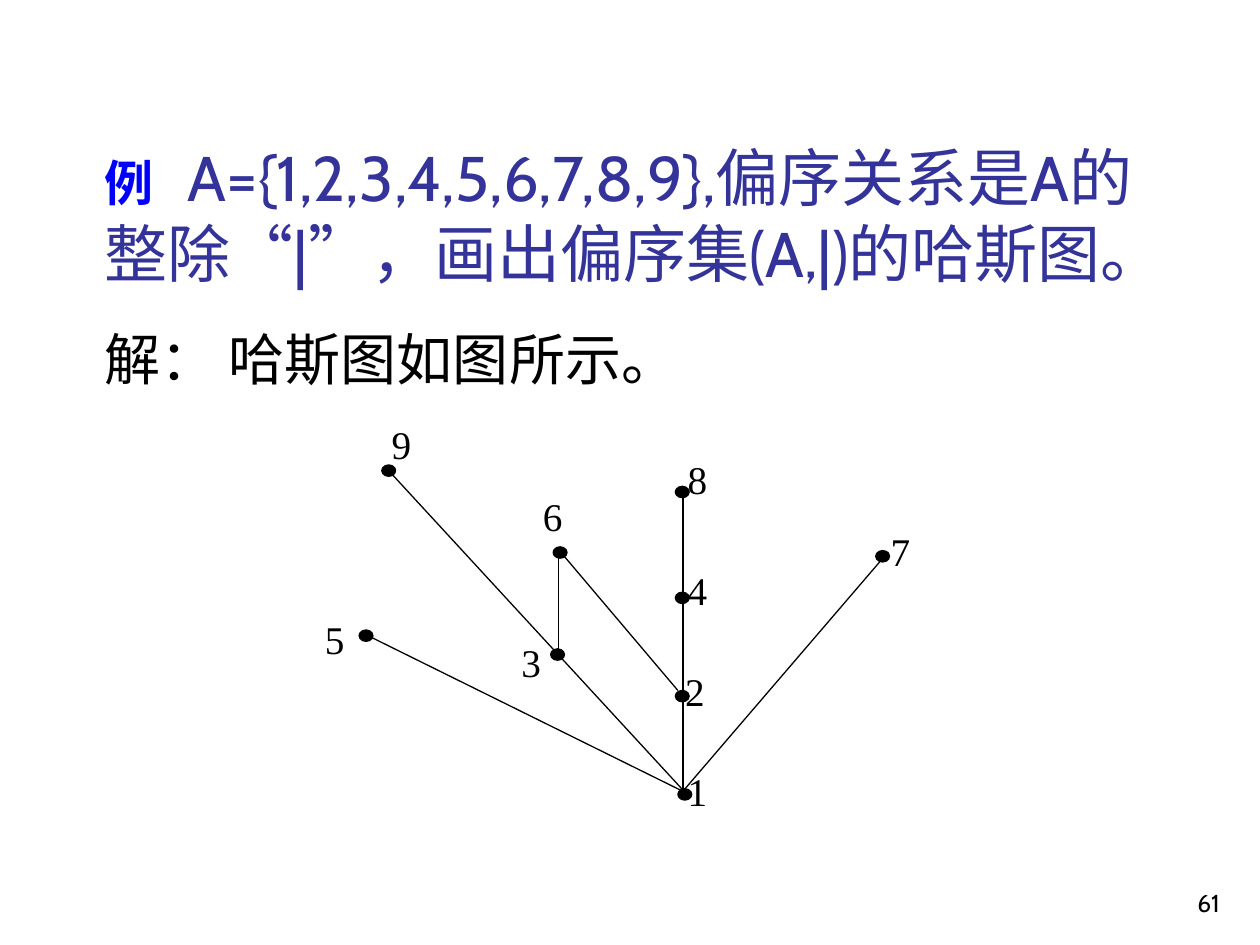
from dataclasses import dataclass

from lxml import etree
from pptx import Presentation
from pptx.dml.color import RGBColor
from pptx.enum.shapes import MSO_CONNECTOR, MSO_SHAPE
from pptx.enum.text import MSO_ANCHOR, MSO_AUTO_SIZE, PP_ALIGN
from pptx.oxml.ns import qn
from pptx.util import Inches, Pt

BOTTOM, TOP = MSO_ANCHOR.BOTTOM, MSO_ANCHOR.TOP
LEFT, RIGHT, JUSTIFY = PP_ALIGN.LEFT, PP_ALIGN.RIGHT, PP_ALIGN.JUSTIFY
RECT, OVAL = MSO_SHAPE.RECTANGLE, MSO_SHAPE.OVAL
STRAIGHT = MSO_CONNECTOR.STRAIGHT
NO_FIT = MSO_AUTO_SIZE.NONE
COLS, ROWS = 100, 75
LABEL_W, LABEL_H = 4.7, 4.8
DOT_W, DOT_H = 1.1, 0.9


@dataclass(frozen=True)
class Theme:
    """Colours, fonts and type sizes of the slide."""
    black: RGBColor = RGBColor(0, 0, 0)
    white: RGBColor = RGBColor(255, 255, 255)
    blue: RGBColor = RGBColor(0, 0, 255)
    indigo: RGBColor = RGBColor(0x33, 0x33, 0x99)
    head: str = "Cabin"
    body: str = "Lato"
    serif: str = "Times New Roman"
    title: float = 36
    example: float = 28
    answer: float = 32
    label: float = 22.4
    number: float = 14
    line: float = 0.75


@dataclass(frozen=True)
class Node:
    """An element of the poset with the corners of its label and dot."""
    name: str
    label: tuple[float, float]
    dot: tuple[float, float]


@dataclass(frozen=True)
class Edge:
    """A line of the Hasse diagram."""
    start: tuple[float, float]
    end: tuple[float, float]


T = Theme()
NODES = [
    Node("5", (24.8, 49.1), (28.5, 50)),
    Node("9", (30.1, 33.6), (30.3, 36.9)),
    Node("6", (42.1, 39.3), (43.9, 43.4)),
    Node("3", (40.4, 50.9), (43.7, 51.5)),
    Node("7", (69.7, 42.1), (69.5, 43.7)),
    Node("8", (53.6, 36.4), (53.6, 38.6)),
    Node("4", (53.6, 45.2), (53.6, 47)),
    Node("2", (53.4, 53.2), (53.6, 54.8)),
    Node("1", (53.6, 61.1), (53.8, 62.6)),
]
EDGES = [
    Edge((54.2, 38.9), (54.2, 62.7)),
    Edge((70.5, 43.8), (54.2, 62.8)),
    Edge((30.8, 37.3), (54.2, 62.7)),
    Edge((44.4, 43.7), (53.8, 54.8)),
    Edge((44.3, 43.7), (44.3, 51.6)),
    Edge((28.9, 50.3), (54.6, 63)),
]

prs = Presentation()
prs.slide_width, prs.slide_height = Inches(10), Inches(7.5)


def grid(x: float, y: float) -> tuple[int, int]:
    """Turn columns and rows into slide lengths."""
    return int(prs.slide_width * x / COLS), int(prs.slide_height * y / ROWS)


def style(font, name: str, size: float, color: RGBColor) -> None:
    """Set typeface, size and colour of a font."""
    font.name, font.size = name, Pt(size)
    font.color.rgb = color


def add_title(s) -> None:
    """Fill the title placeholder with the exercise."""
    sp = s.shapes.title
    sp.left, sp.top = grid(7.3, 4.4)
    sp.width, sp.height = grid(85.2, 19.1)
    tf = sp.text_frame
    tf.word_wrap, tf.auto_size, tf.vertical_anchor = True, NO_FIT, BOTTOM
    p = tf.paragraphs[0]
    p.alignment = LEFT
    tabs = etree.SubElement(p._p.get_or_add_pPr(), qn("a:tabLst"))
    etree.SubElement(tabs, qn("a:tab"), pos=str(grid(6.6, 0)[0]), algn="l")
    style(p.font, T.head, T.title, T.indigo)
    r = p.add_run()
    r.text = "例\t"
    style(r.font, T.head, T.example, T.blue)
    r.font.bold = True
    for text, font in [
        ("A={1,2,3,4,5,6,7,8,9},偏序关系是A的整除", T.head),
        ("“", T.serif), ("|", T.head), ("”", T.serif),
        ("，画出偏序集(A,|)的哈斯图。", T.head),
    ]:
        r = p.add_run()
        r.text = text
        style(r.font, font, T.title, T.indigo)


def add_text(s, text: str, at: tuple, size: tuple, font: str, pt: float,
             align=LEFT, anchor=TOP) -> None:
    """Add a one-paragraph text box."""
    tf = s.shapes.add_textbox(*grid(*at), *grid(*size)).text_frame
    tf.word_wrap, tf.vertical_anchor = True, anchor
    p = tf.paragraphs[0]
    p.text, p.alignment = text, align
    style(p.font, font, pt, T.black)


def add_label(shapes, node: Node) -> None:
    """Write the name of a node on a white box."""
    sp = shapes.add_shape(RECT, *grid(*node.label), *grid(LABEL_W, LABEL_H))
    sp.shadow.inherit = False
    sp.fill.solid()
    sp.fill.fore_color.rgb = T.white
    sp.line.fill.background()
    sp.text_frame.vertical_anchor = TOP
    p = sp.text_frame.paragraphs[0]
    p.text, p.alignment, p.line_spacing = node.name, JUSTIFY, 0.8
    style(p.font, T.serif, T.label, T.black)


def add_dot(shapes, node: Node) -> None:
    """Draw the dot of a node."""
    sp = shapes.add_shape(OVAL, *grid(*node.dot), *grid(DOT_W, DOT_H))
    sp.shadow.inherit = False
    sp.fill.solid()
    sp.fill.fore_color.rgb = sp.line.color.rgb = T.black
    sp.line.width = Pt(T.line)


def add_edge(shapes, edge: Edge) -> None:
    """Draw a line of the diagram."""
    c = shapes.add_connector(STRAIGHT, *grid(*edge.start), *grid(*edge.end))
    c.line.color.rgb, c.line.width = T.black, Pt(T.line)
    etree.SubElement(c._element.spPr, qn("a:effectLst"))


def main() -> None:
    """Build and save the slide."""
    s = prs.slides.add_slide(prs.slide_layouts[5])
    add_title(s)
    add_text(s, "61", (77, 68.3), (20.8, 5), T.head, T.number, RIGHT, BOTTOM)
    shapes = s.shapes.add_group_shape().shapes
    for draw, items in [(add_label, NODES), (add_dot, NODES), (add_edge, EDGES)]:
        for item in items:
            draw(shapes, item)
    add_text(s, "解： 哈斯图如图所示。", (7.3, 25.3), (48, 6.4), T.body, T.answer)
    prs.save("out.pptx")


if __name__ == "__main__":
    main()
